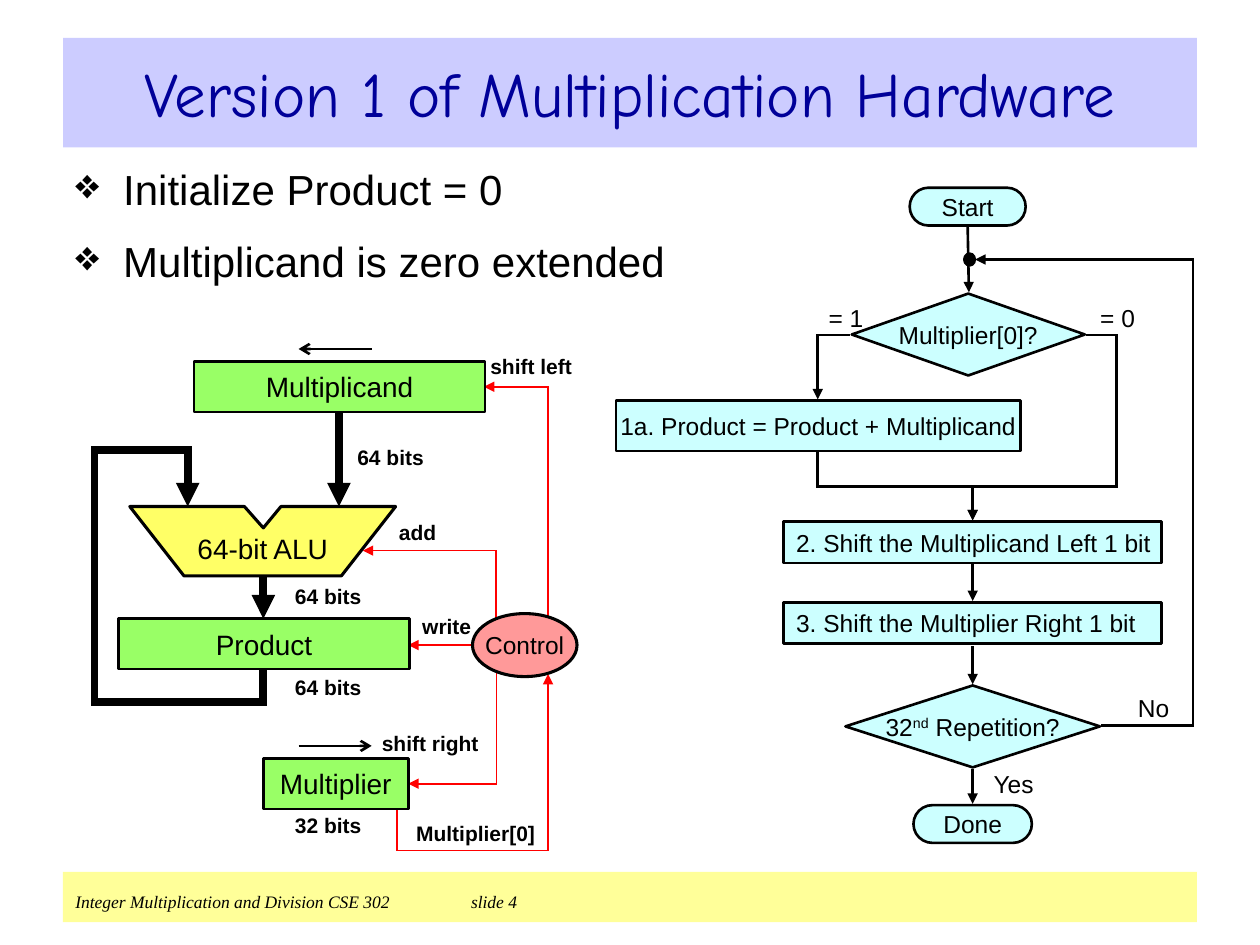
from lxml.etree import SubElement
from pptx import Presentation
from pptx.dml.color import RGBColor
from pptx.enum.shapes import MSO_CONNECTOR, MSO_SHAPE as Kind
from pptx.enum.text import MSO_ANCHOR as Anchor, PP_ALIGN as Align
from pptx.oxml.ns import qn
from pptx.util import Inches, Pt

COLORS = {name: RGBColor.from_string(value) for name, value in {
    "black": "000000", "navy": "000099", "lavender": "CCCCFF", "cream": "FFFF99",
    "cyan": "CCFFFF", "green": "99FF66", "yellow": "FFFF66", "pink": "FF9999",
    "red": "FF0000"}.items()}

deck = Presentation()
deck.slide_width, deck.slide_height = Inches(10), Inches(7.5)
CELL = deck.slide_width // 100  # square grid: 100 columns by 75 rows
page = deck.slides.add_slide(deck.slide_layouts[5])
shapes = page.shapes


def write(shape, text, size, bold=False, align=Align.CENTER):
    """Set one line of text; words between ^ marks are superscript."""
    frame = shape.text_frame
    frame.word_wrap = False
    frame.vertical_anchor = Anchor.MIDDLE
    para = frame.paragraphs[0]
    para.alignment = align
    for index, words in enumerate(text.split("^")):
        span = para.add_run()
        span.text = words
        span.font.name, span.font.size, span.font.bold = "Arial", Pt(size), bold
        span.font.color.rgb = COLORS["black"]
        if index % 2:
            span.font._element.set("baseline", "30000")


def wire(points, color, width, head="triangle"):
    """Draw a line through grid points, with an arrowhead at its end."""
    points = [(round(x * CELL), round(y * CELL)) for x, y in points]
    if len(points) == 2:
        line = shapes.add_connector(MSO_CONNECTOR.STRAIGHT, *points[0], *points[1])
        SubElement(line._element.spPr, qn("a:effectLst"))
    else:
        builder = shapes.build_freeform(*points[0])
        builder.add_line_segments(points[1:], close=False)
        line = builder.convert_to_shape()
        line.fill.background()
        line.shadow.inherit = False
    line.line.color.rgb = COLORS[color]
    line.line.width = Pt(width)
    stroke = line._element.spPr.find(qn("a:ln"))
    SubElement(stroke, qn("a:miter"), lim="800000")
    if head:
        SubElement(stroke, qn("a:tailEnd"), type=head)


# Title band
title = shapes.title
title.left, title.top, title.width, title.height = (
    round(n * CELL) for n in (5, 3, 90, 8.7))
title.fill.solid()
title.fill.fore_color.rgb = COLORS["lavender"]
title.text_frame.text = "Version 1 of Multiplication Hardware"
title.text_frame.vertical_anchor = Anchor.MIDDLE
title_para = title.text_frame.paragraphs[0]
title_para.alignment = Align.CENTER
title_para.font.name, title_para.font.size = "Comic Neue", Pt(36)
title_para.font.color.rgb = COLORS["navy"]

# Footer band
footer = shapes.add_shape(Kind.RECTANGLE, *(round(n * CELL) for n in (5, 69.2, 90, 4)))
footer.shadow.inherit = False
footer.fill.solid()
footer.fill.fore_color.rgb = COLORS["cream"]
footer.line.fill.background()
footer.text_frame.text = "Integer Multiplication and Division CSE 302\tslide 4"
footer.text_frame.vertical_anchor = Anchor.TOP
footer.text_frame.margin_top = round(1.5 * CELL)
footer_para = footer.text_frame.paragraphs[0]
footer_para.alignment = Align.LEFT
tabs = SubElement(footer_para._p.get_or_add_pPr(), qn("a:tabLst"))
SubElement(tabs, qn("a:tab"), pos=str(round(31.4 * CELL)), algn="l")
footer_para.font.name, footer_para.font.size = "Times New Roman", Pt(10)
footer_para.font.italic = True
footer_para.font.color.rgb = COLORS["black"]

# Bullets
bullets = shapes.add_textbox(*(round(n * CELL) for n in (5, 12.5, 90, 17.7)))
bullets.text_frame.word_wrap = True
bullets.text_frame.text = "Initialize Product = 0\nMultiplicand is zero extended"
for number, para in enumerate(bullets.text_frame.paragraphs):
    para.space_before = Pt(12 * number)
    indent = round(3.8 * CELL)
    props = para._p.get_or_add_pPr()
    props.set("marL", str(indent))
    props.set("indent", str(-indent))
    SubElement(props, qn("a:buChar"), char="❖")
    para.font.name, para.font.size = "Arial", Pt(24)
    para.font.color.rgb = COLORS["black"]

# Flowchart lines
AXIS, LEFT, RIGHT, MERGE = 77.2, 64.9, 88.6, 38.6
for points in (
        [(76.8, 18), (76.9, 23.2)],
        [(67.5, 26.6), (LEFT, 26.6), (LEFT, 31.7)],
        [(LEFT, 35.9), (LEFT, MERGE), (AXIS, MERGE), (AXIS, 41.3)],
        [(86.2, 26.6), (RIGHT, 26.6), (RIGHT, MERGE), (AXIS, MERGE), (AXIS, 41.3)],
        [(AXIS, 44.8), (AXIS, 47.7)],
        [(AXIS, 51.3), (AXIS, 54.3)],
        [(AXIS, 61), (AXIS, 63.8)],
        [(87.4, 57.6), (94.7, 57.6), (94.7, 20.6), (77.4, 20.6)]):
    wire(points, "black", 1.5)

# Data paths: thick black lines
for points in (
        [(20.9, 45.7), (20.9, 49.1)],
        [(26.9, 32.7), (26.9, 40.2)],
        [(20.9, 53.2), (20.9, 55.7), (7.5, 55.7), (7.5, 35.7),
         (14.9, 35.7), (14.9, 40.2)]):
    wire(points, "black", 4.5)

# Control signals: red lines
for points in (
        [(39.4, 53.2), (39.4, 62.2), (32.4, 62.2)],
        [(43.5, 49.1), (43.5, 30.7), (38.4, 30.7)],
        [(39.4, 50.2), (39.4, 43.7), (28.8, 43.7)],
        [(37.5, 51.2), (32.4, 51.2)],
        [(31.5, 64.1), (31.5, 67.5), (43.5, 67.5), (43.5, 53.5)]):
    wire(points, "red", 1)

# Shift directions
wire([(29.5, 27.7), (23.7, 27.7)], "black", 1.5, "arrow")
wire([(23.7, 59.2), (29.5, 59.2)], "black", 1.5, "arrow")

# Adder outline
outline = [(round(x * CELL), round(y * CELL)) for x, y in (
    (31.4, 40.2), (22.3, 40.2), (20.9, 41.9), (19.4, 40.2),
    (10.3, 40.2), (14.6, 45.7), (27.1, 45.7))]
builder = shapes.build_freeform(*outline[0])
builder.add_line_segments(outline[1:], close=True)
adder = builder.convert_to_shape()
adder.shadow.inherit = False
adder.fill.solid()
adder.fill.fore_color.rgb = COLORS["yellow"]
adder.line.color.rgb = COLORS["black"]
adder.line.width = Pt(1.75)
write(adder, "64-bit ALU", 16)
adder.text_frame.margin_top = round(1.6 * CELL)

# Filled shapes: kind, text, text size, left, top, width, height, fill, line width
for kind, text, size, left, top, width, height, fill, weight in (
        (Kind.OVAL, "", 14, 76.5, 20.1, 0.9, 1, "black", 1),
        (Kind.FLOWCHART_TERMINATOR, "Start", 14, 72.2, 14.9, 9.2, 3, "cyan", 1.5),
        (Kind.FLOWCHART_DECISION, "Multiplier[0]?", 14, 67.6, 23.3, 18.5, 6.5, "cyan", 1.5),
        (Kind.RECTANGLE, "1a. Product = Product + Multiplicand", 14,
         48.9, 31.8, 32.1, 4, "cyan", 1.5),
        (Kind.RECTANGLE, "2. Shift the Multiplicand Left 1 bit", 14,
         62.2, 41.4, 30, 3.3, "cyan", 1.5),
        (Kind.RECTANGLE, "3. Shift the Multiplier Right 1 bit", 14,
         62.2, 47.8, 30, 3.3, "cyan", 1.5),
        (Kind.FLOWCHART_DECISION, "32^nd^ Repetition?", 14, 67.1, 54.4, 20.2, 6.5, "cyan", 1.5),
        (Kind.FLOWCHART_TERMINATOR, "Done", 14, 72.5, 63.9, 9.4, 3, "cyan", 1.5),
        (Kind.RECTANGLE, "Multiplicand", 16, 15.4, 28.7, 23.1, 4, "green", 1.5),
        (Kind.RECTANGLE, "Product", 16, 9.4, 49.1, 23.1, 4, "green", 1.5),
        (Kind.RECTANGLE, "Multiplier", 16, 20.9, 60.2, 11.5, 4, "green", 1.5),
        (Kind.OVAL, "Control", 14, 37.5, 48.7, 8.3, 5, "pink", 1.75)):
    box = shapes.add_shape(kind, *(round(n * CELL) for n in (left, top, width, height)))
    box.shadow.inherit = False
    box.fill.solid()
    box.fill.fore_color.rgb = COLORS[fill]
    box.line.color.rgb = COLORS["black"]
    box.line.width = Pt(weight)
    if text:
        is_step = text.startswith(("2.", "3."))
        write(box, text, size, align=Align.LEFT if is_step else Align.CENTER)

# Labels: text, size, bold, left, top, width, height
for text, size, bold, left, top, width, height in (
        ("= 0", 14, False, 86.3, 23.5, 4.8, 3.4),
        ("= 1", 14, False, 64.8, 23.5, 4.7, 3.4),
        ("No", 14, False, 89.3, 54.5, 4.5, 3.4),
        ("Yes", 14, False, 77.8, 60.5, 5.3, 3.4),
        ("shift left", 12, True, 38.7, 28.1, 6.9, 2),
        ("64 bits", 12, True, 27.8, 35.1, 6.4, 2.4),
        ("add", 12, True, 30.6, 41.2, 5.1, 2),
        ("64 bits", 12, True, 22.3, 46.5, 7.5, 1.7),
        ("write", 12, True, 32.9, 48.7, 5.1, 2),
        ("64 bits", 12, True, 22.3, 53.7, 7.5, 1.7),
        ("shift right", 12, True, 29.8, 57.8, 8.7, 2.4),
        ("32 bits", 12, True, 22.9, 64.5, 6.3, 2),
        ("Multiplier[0]", 12, True, 32.9, 65.1, 9.7, 2)):
    label = shapes.add_textbox(*(round(n * CELL) for n in (left, top, width, height)))
    frame = label.text_frame
    frame.margin_left = frame.margin_right = frame.margin_top = frame.margin_bottom = 0
    write(label, text, size, bold)

deck.save("out.pptx")
